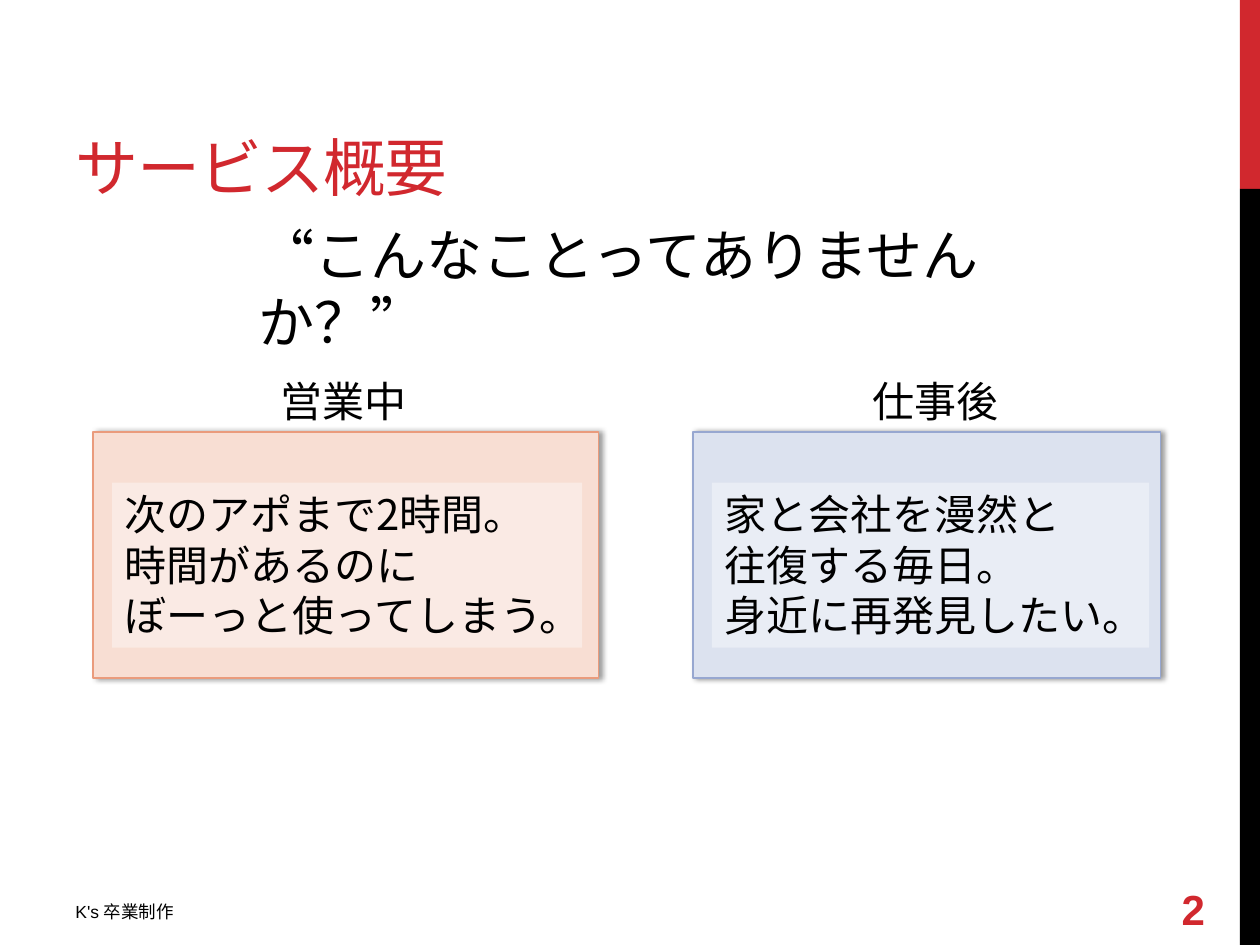
from dataclasses import dataclass

from lxml.etree import SubElement
from pptx import Presentation
from pptx.dml.color import RGBColor
from pptx.enum.shapes import MSO_SHAPE
from pptx.enum.text import MSO_ANCHOR
from pptx.oxml.ns import qn
from pptx.util import Inches, Pt


@dataclass(frozen=True)
class Theme:
    red: str = "D1282E"
    black: str = "000000"
    white: str = "FFFFFF"
    work_fill: str = "F8DED3"
    work_line: str = "EA9B7C"
    after_fill: str = "DCE2EF"
    after_line: str = "97A7D0"
    japanese: str = "Noto Sans CJK JP"
    latin: str = "Arial"
    title: int = 36
    question: int = 32
    body: int = 24
    footer: int = 10


THEME = Theme()


def write(shape, lines, size, color=THEME.black, font=THEME.japanese,
          anchor=MSO_ANCHOR.TOP, wrap=True, bold=False, spacing=None):
    frame = shape.text_frame
    frame.word_wrap = wrap
    frame.vertical_anchor = anchor
    frame.text = "\n".join(lines)
    for paragraph in frame.paragraphs:
        paragraph.font.size = Pt(size)
        paragraph.font.bold = bold
        paragraph.font.name = font
        paragraph.font.color.rgb = RGBColor.from_string(color)
        for run in paragraph.runs:
            properties = run.font._element
            if spacing is not None:
                properties.set("spc", str(round(spacing * 100)))
            # East Asian characters take their typeface from a:ea
            SubElement(properties, qn("a:ea"), typeface=THEME.japanese)


def add_text(slide, left, top, width, height, text, size, **style):
    box = slide.shapes.add_textbox(
        Inches(left), Inches(top), Inches(width), Inches(height))
    write(box, [text], size, **style)


def add_rectangle(slide, left, top, width, height, fill, line=None):
    rectangle = slide.shapes.add_shape(
        MSO_SHAPE.RECTANGLE,
        Inches(left), Inches(top), Inches(width), Inches(height))
    rectangle.shadow.inherit = False
    rectangle.fill.solid()
    rectangle.fill.fore_color.rgb = RGBColor.from_string(fill)
    if line:
        rectangle.line.color.rgb = RGBColor.from_string(line)
        rectangle.line.width = Pt(1)
    else:
        rectangle.line.fill.background()
    return rectangle


def add_alpha(color, percent):
    SubElement(color, qn("a:alpha"), val=str(percent * 1000))


def add_shadow(shape):
    effects = shape._element.spPr.find(qn("a:effectLst"))
    shadow = SubElement(effects, qn("a:outerShdw"), blurRad=str(Pt(3.1)),
                        dist=str(Pt(1.8)), dir="0", rotWithShape="0")
    add_alpha(SubElement(shadow, qn("a:srgbClr"), val=THEME.black), 40)


def side_band(slide, left, width):
    add_rectangle(slide, left, 0, width, 1.5, THEME.red)
    add_rectangle(slide, left, 1.5, width, 6, THEME.black)


def heading(slide, left, top):
    add_text(slide, left, top, 6.33, 1.5, "サービス概要", THEME.title,
             color=THEME.red, anchor=MSO_ANCHOR.BOTTOM, spacing=-0.6)
    add_text(slide, left + 1.45, top + 1.53, 6.89, 0.64,
             "“こんなことってありませんか？”", THEME.question)


def situation(slide, left, top, width, label, label_offset, note_width,
              lines, fill, line):
    """A captioned panel with a translucent note on it."""
    add_shadow(add_rectangle(slide, left, top, width, 1.95, fill, line))
    note = add_rectangle(slide, left + 0.15, top + 0.4, note_width, 1.31,
                         THEME.white)
    add_alpha(note._element.spPr.find(qn("a:solidFill"))[0], 39)
    write(note, lines, THEME.body)
    add_text(slide, left + label_offset, top - 0.5, 1.21, 0.5, label,
             THEME.body, wrap=False)


def footer(slide, left, top):
    add_text(slide, left, top, 3.75, 0.31, "K's 卒業制作", THEME.footer,
             font=THEME.latin)
    add_text(slide, left + 8.78, top - 0.09, 1.44, 0.4, "2", THEME.body,
             color=THEME.red, font=THEME.latin, anchor=MSO_ANCHOR.MIDDLE,
             bold=True)


def main():
    deck = Presentation()
    deck.slide_width, deck.slide_height = Inches(10), Inches(7.5)
    slide = deck.slides.add_slide(deck.slide_layouts[6])

    side_band(slide, 9.84, 0.16)
    heading(slide, 0.5, 0.17)

    # Two everyday situations, side by side
    situation(slide, 0.74, 3.43, 4.01, "営業中", 1.39, 3.73,
              ["次のアポまで2時間。", "時間があるのに", "ぼーっと使ってしまう。"],
              THEME.work_fill, THEME.work_line)
    situation(slide, 5.5, 3.43, 3.71, "仕事後", 1.33, 3.47,
              ["家と会社を漫然と", "往復する毎日。", "身近に再発見したい。"],
              THEME.after_fill, THEME.after_line)

    footer(slide, 0.5, 7.1)
    deck.save("out.pptx")


if __name__ == "__main__":
    main()
